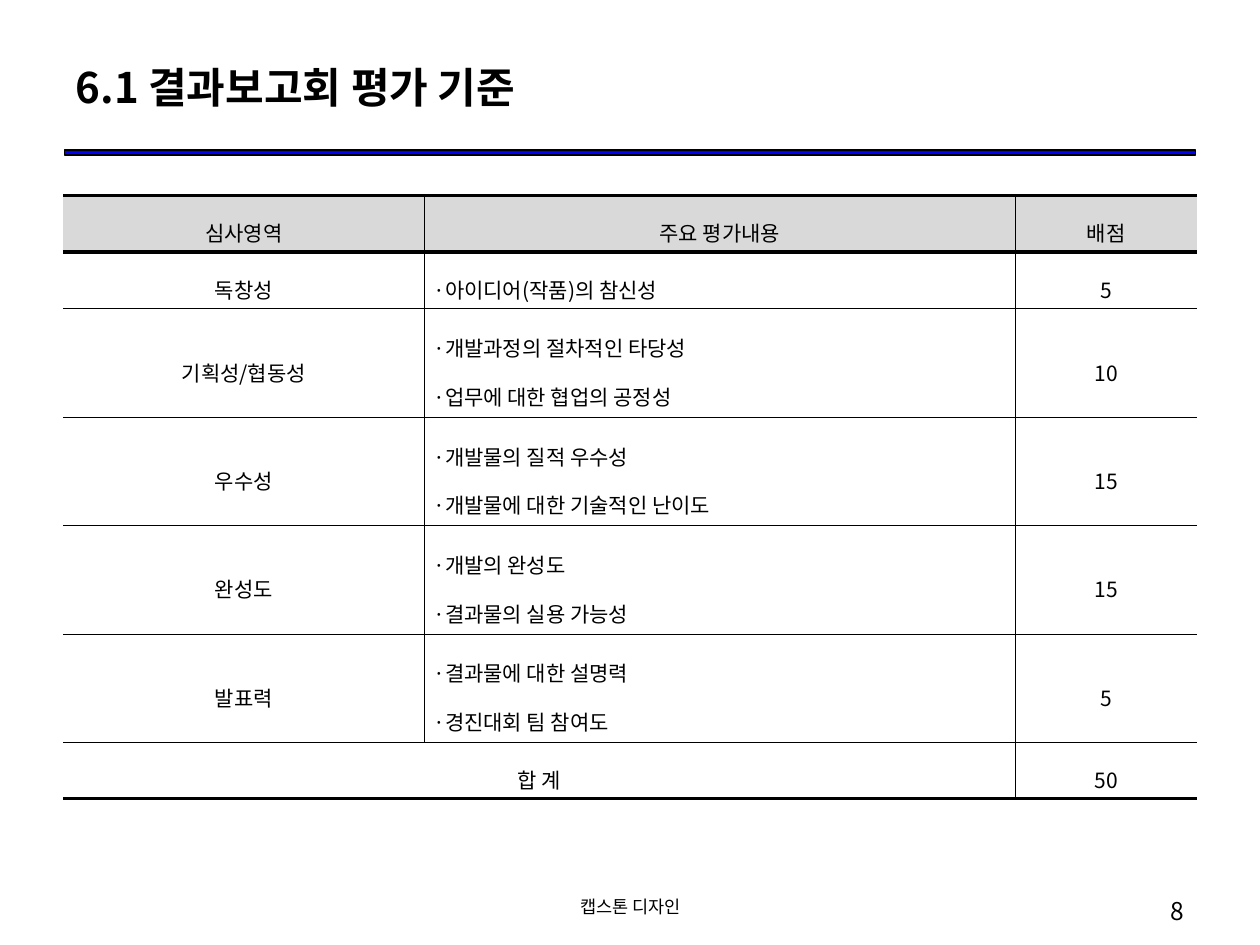
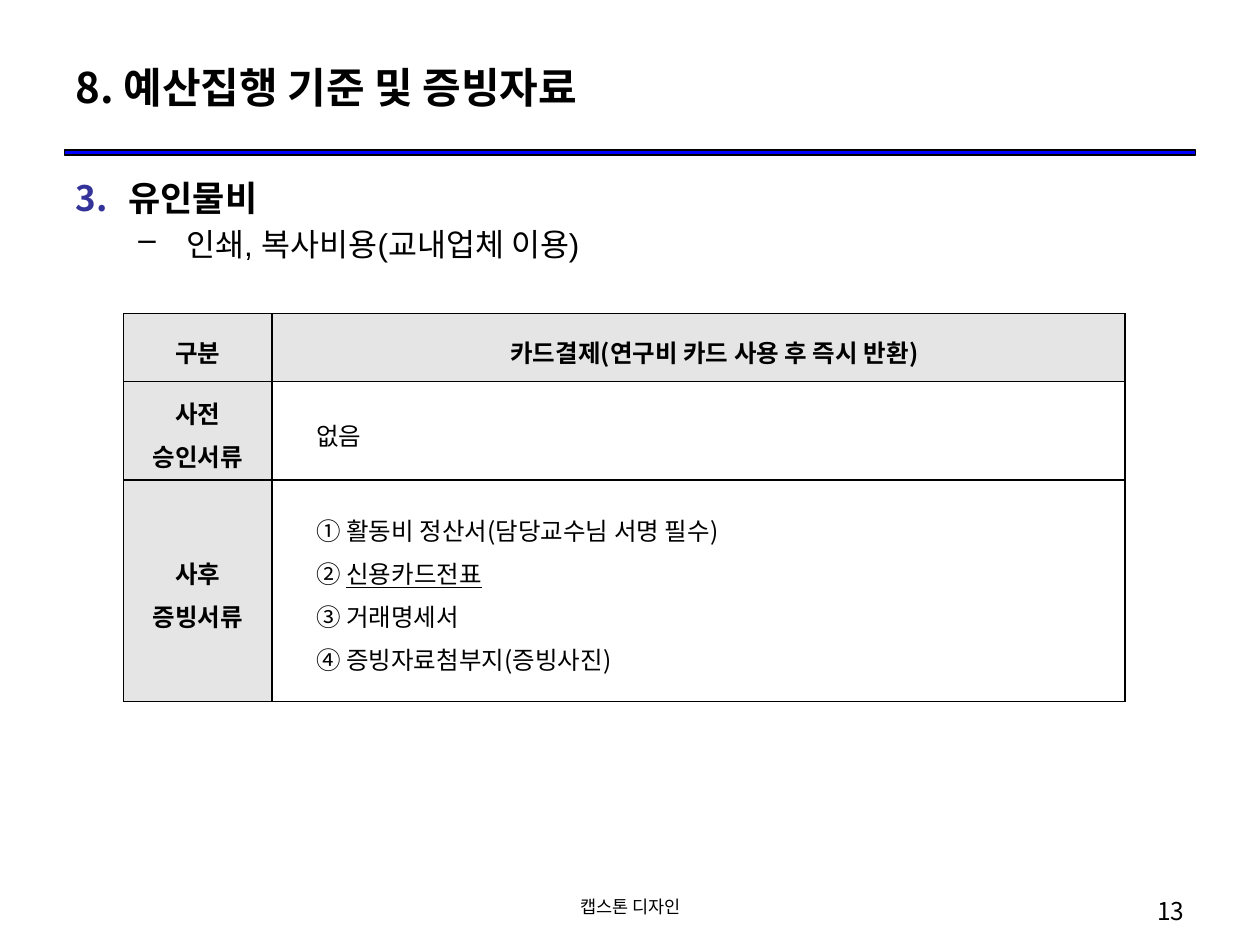
from lxml.etree import SubElement
from pptx import Presentation
from pptx.dml.color import RGBColor
from pptx.enum.shapes import MSO_SHAPE as Shape
from pptx.enum.text import MSO_ANCHOR as Anchor, PP_ALIGN as Align
from pptx.oxml.ns import qn
from pptx.util import Inches, Pt

COLORS = {
    "ink": "000000",
    "paper": "FFFFFF",
    "rule": "0000FF",
    "number": "333399",
    "header": "D9D9D9",
    "label": "E5E5E5",
}
FONT = "Noto Sans CJK KR"
LATIN = "Arial"


def color(name):
    return RGBColor.from_string(COLORS[name])


def indent(para, left, hanging):
    properties = para._p.get_or_add_pPr()
    properties.set("marL", str(Inches(left)))
    properties.set("indent", str(Inches(hanging)))
    return properties


class SlideWriter:
    def __init__(self):
        self.deck = Presentation()
        self.deck.slide_width = Inches(10)
        self.deck.slide_height = Inches(7.5)
        self.page = None

    def start(self, title, number):
        self.page = self.deck.slides.add_slide(self.deck.slide_layouts[5])
        self.rule()
        box = self.page.shapes.title
        box.left, box.top = Inches(0.5), Inches(0.3)
        box.width, box.height = Inches(9), Inches(0.77)
        box.text_frame.text = title
        box.text_frame.vertical_anchor = Anchor.MIDDLE
        self.style(box.text_frame.paragraphs[0], 24, bold=True, align=Align.LEFT)
        self.text(3.42, 7.06, 3.17, 0.29, "캡스톤 디자인", 10, Align.CENTER)
        self.text(7.17, 7.06, 2.33, 0.29, number, 14, Align.RIGHT)

    def rule(self):
        band = self.page.shapes.add_shape(
            Shape.RECTANGLE, Inches(0.51), Inches(1.19), Inches(8.98), Inches(0.04))
        band.shadow.inherit = False
        band.fill.solid()
        band.fill.fore_color.rgb = color("rule")
        band.line.color.rgb = color("ink")
        band.line.width = Pt(0.75)

    def style(self, para, size, bold=False, align=Align.LEFT, font=FONT):
        para.alignment = align
        for span in para.runs:
            span.font.name = font
            span.font.size = Pt(size)
            span.font.bold = bold
            span.font.color.rgb = color("ink")
            east_asian = SubElement(span.font._element, qn("a:ea"))
            east_asian.set("typeface", FONT)

    def frame(self, left, top, width, height):
        box = self.page.shapes.add_textbox(
            Inches(left), Inches(top), Inches(width), Inches(height))
        box.text_frame.word_wrap = True
        return box.text_frame

    def text(self, left, top, width, height, words, size, align):
        frame = self.frame(left, top, width, height)
        frame.text = words
        self.style(frame.paragraphs[0], size, align=align)

    def outline(self, heading, start, detail):
        frame = self.frame(0.5, 1.35, 9, 1)
        frame.text = heading
        para = frame.paragraphs[0]
        properties = indent(para, 0.42, -0.42)
        tint = SubElement(properties, qn("a:buClr"))
        SubElement(tint, qn("a:srgbClr")).set("val", COLORS["number"])
        number = SubElement(properties, qn("a:buAutoNum"))
        number.set("type", "arabicPeriod")
        number.set("startAt", str(start))
        self.style(para, 20, bold=True, font=LATIN)

        para = frame.add_paragraph()
        para.text = detail
        para.level = 1
        SubElement(indent(para, 0.88, -0.38), qn("a:buChar")).set("char", "–")
        para.space_before = Pt(3.6)
        self.style(para, 18, font=LATIN)

    def table(self, left, top, widths, heights, row_lines, column_lines):
        table = self.page.shapes.add_table(
            len(heights), len(widths), Inches(left), Inches(top),
            Inches(sum(widths)), Inches(sum(heights))).table
        table.first_row = table.horz_banding = False
        for column, width in zip(table.columns, widths):
            column.width = Inches(width)
        for row, height in zip(table.rows, heights):
            row.height = Inches(height)
        for r in range(len(heights)):
            for c in range(len(widths)):
                self.borders(table.cell(r, c), {
                    "lnL": column_lines[c], "lnR": column_lines[c + 1],
                    "lnT": row_lines[r], "lnB": row_lines[r + 1]})
        return table

    def borders(self, cell, weights):
        properties = cell._tc.get_or_add_tcPr()
        for side, weight in weights.items():
            line = SubElement(properties, qn(f"a:{side}"))
            line.set("w", str(Pt(weight)))
            if weight:
                fill = SubElement(line, qn("a:solidFill"))
                SubElement(fill, qn("a:srgbClr")).set("val", COLORS["ink"])
            else:
                SubElement(line, qn("a:noFill"))

    def cell(self, cell, lines, size, spacing, inset, align, fill="paper",
             bold=False, hanging=None):
        cell.fill.solid()
        cell.fill.fore_color.rgb = color(fill)
        cell.vertical_anchor = Anchor.MIDDLE
        cell.margin_left = cell.margin_right = Inches(inset)
        cell.margin_top = cell.margin_bottom = Inches(0.02)
        frame = cell.text_frame
        for index, line in enumerate(lines):
            para = frame.add_paragraph() if index else frame.paragraphs[0]
            plain, underlined = line if isinstance(line, tuple) else (line, "")
            para.text = plain
            if underlined:
                span = para.add_run()
                span.text = underlined
                span.font.underline = True
            para.line_spacing = spacing
            if hanging:
                indent(para, *hanging)
            self.style(para, size, bold, align)


def criteria_slide(writer):
    writer.start("6.1 결과보고회 평가 기준", "8")
    rows = [
        ("심사영역", ["주요 평가내용"], "배점"),
        ("독창성", ["·아이디어(작품)의 참신성"], "5"),
        ("기획성/협동성", ["·개발과정의 절차적인 타당성", "·업무에 대한 협업의 공정성"], "10"),
        ("우수성", ["·개발물의 질적 우수성", "·개발물에 대한 기술적인 난이도"], "15"),
        ("완성도", ["·개발의 완성도", "·결과물의 실용 가능성"], "15"),
        ("발표력", ["·결과물에 대한 설명력", "·경진대회 팀 참여도"], "5"),
        ("합 계", [], "50"),
    ]
    heights = [0.86 if len(details) == 2 else 0.45 for _, details, _ in rows]
    thin = 0.28
    table = writer.table(0.5, 1.55, [2.87, 4.69, 1.44], heights,
                         [1.7, 1.98] + [thin] * 5 + [1.7], [0, thin, thin, 0])
    for r, (area, details, points) in enumerate(rows):
        fill = "paper" if r else "header"
        for c, lines in enumerate(([area], details, [points])):
            align = Align.JUSTIFY if r and c == 1 else Align.CENTER
            writer.cell(table.cell(r, c), lines, 12, 1.6, 0.07, align, fill)
    total = len(rows) - 1
    table.cell(total, 0).merge(table.cell(total, 1))


def budget_slide(writer):
    writer.start("8. 예산집행 기준 및 증빙자료", "13")
    writer.outline("유인물비", 3, "인쇄, 복사비용(교내업체 이용)")
    rows = [
        ("구분", ["카드결제(연구비 카드 사용 후 즉시 반환)"]),
        ("사전 승인서류", ["없음"]),
        ("사후 증빙서류", [
            "① 활동비 정산서(담당교수님 서명 필수)",
            ("② ", "신용카드전표"),
            "③ 거래명세서",
            "④ 증빙자료첨부지(증빙사진)",
        ]),
    ]
    table = writer.table(0.98, 2.49, [1.18, 6.77], [0.54, 0.78, 1.76],
                         [0.85] * 4, [0.85] * 3)
    for r, (label, details) in enumerate(rows):
        header = r == 0
        writer.cell(table.cell(r, 0), [label], 14, 1.2, 0.1, Align.CENTER,
                    "label", bold=True)
        writer.cell(table.cell(r, 1), details, 14, 1.2, 0.1,
                    Align.CENTER if header else Align.JUSTIFY,
                    "label" if header else "paper", header, (0.4, -0.15))


def main():
    writer = SlideWriter()
    criteria_slide(writer)
    budget_slide(writer)
    writer.deck.save("out.pptx")


if __name__ == "__main__":
    main()
